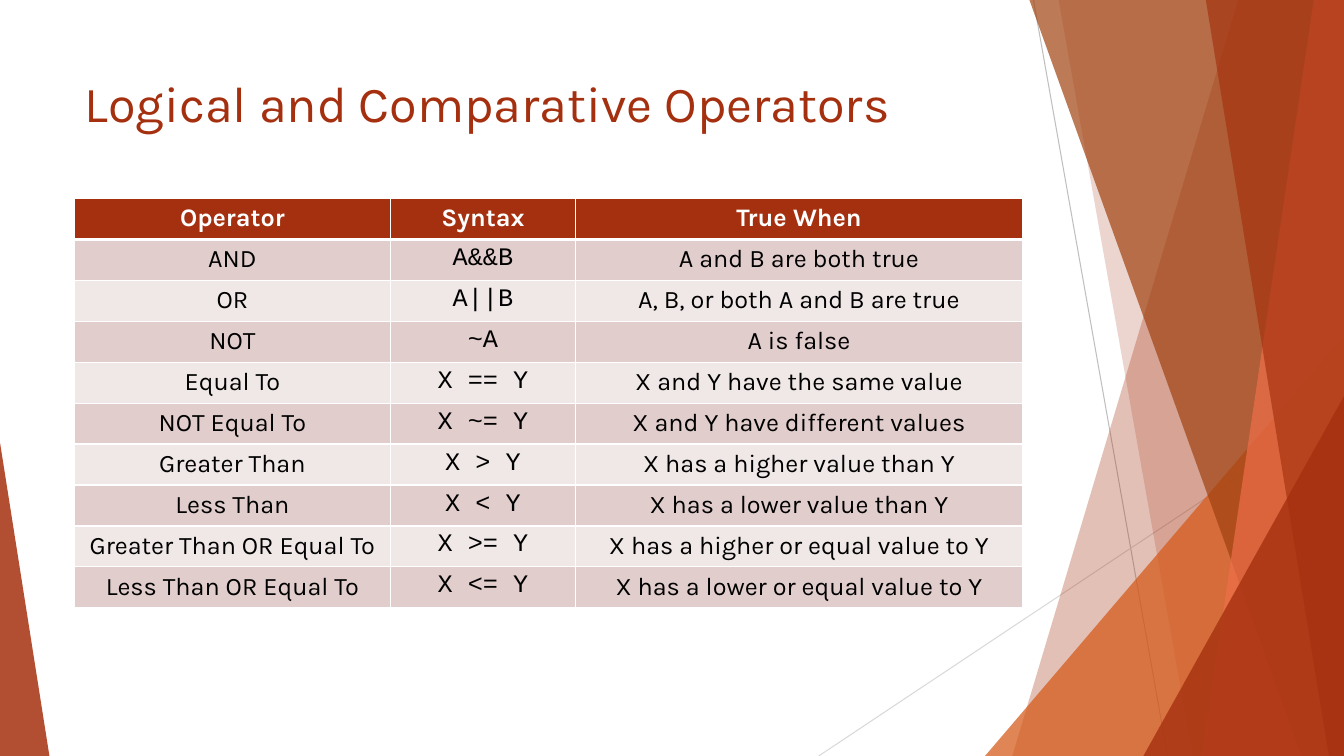
from lxml import etree
from pptx import Presentation
from pptx.dml.color import RGBColor
from pptx.enum.shapes import MSO_CONNECTOR as CONN, MSO_SHAPE as SHAPE
from pptx.enum.text import MSO_ANCHOR as ANCHOR, MSO_AUTO_SIZE as FIT, PP_ALIGN as ALIGN
from pptx.oxml.ns import qn
from pptx.util import Inches, Pt

WIDTH, HEIGHT = 13.33, 7.5
RUST = "A5300F"
BODY, CODE = "Karla", "Courier New"

# Lines: x1, y1, x2, y2, colour
LINES = [(10.25, 0, 11.58, 7.5, "BFBFBF"), (13.33, 4.03, 8.12, 7.5, "D9D9D9")]

# Bands run to the right edge: x at top, x at bottom, colour, opacity
# Triangles: left, top, width, height, apex position, colour, opacity
BACK_BANDS = [(12.28, 10.04, RUST, 30), (10.5, 11.83, RUST, 20)]
ORANGE_TRIANGLE = (9.77, 3.33, 3.56, 4.17, 1, "D55816", 72)
FRONT_BANDS = [(10.21, 12.91, "A04210", 70), (13.03, 11.92, "EE6E4A", 70),
               (11.96, 13.18, RUST, 65)]
RUST_TRIANGLES = [(11.34, 3.93, 1.99, 3.57, 1, RUST, 80),
                  (0, 4.39, 0.49, 3.11, 0, RUST, 85)]

COLUMNS = [3.13, 1.84, 4.43]
ROWS = [
    ("Operator", "Syntax", "True When"),
    ("AND", "A&&B", "A and B are both true"),
    ("OR", "A||B", "A, B, or both A and B are true"),
    ("NOT", "~A", "A is false"),
    ("Equal To", "X == Y", "X and Y have the same value"),
    ("NOT Equal To", "X ~= Y", "X and Y have different values"),
    ("Greater Than", "X > Y", "X has a higher value than Y"),
    ("Less Than", "X < Y", "X has a lower value than Y"),
    ("Greater Than OR Equal To", "X >= Y", "X has a higher or equal value to Y"),
    ("Less Than OR Equal To", "X <= Y", "X has a lower or equal value to Y"),
]


def rgb(color):
    return RGBColor.from_string(color)


def format_font(font, color, **values):
    font.color.rgb = rgb(color)
    for name, value in values.items():
        setattr(font, name, value)


def paint(sp, color, opacity):
    sp.shadow.inherit = False
    sp.line.fill.background()
    sp.fill.solid()
    sp.fill.fore_color.rgb = rgb(color)
    clr = sp.fill._xPr.find(".//" + qn("a:srgbClr"))
    etree.SubElement(clr, qn("a:alpha"), val=str(opacity * 1000))


def add_line(s, x1, y1, x2, y2, color):
    line = s.shapes.add_connector(CONN.STRAIGHT, *map(Inches, (x1, y1, x2, y2)))
    line.line.color.rgb = rgb(color)
    line.line.width = Pt(0.75)
    etree.SubElement(line._element.spPr, qn("a:effectLst"))


def add_band(s, box, top_x, bottom_x, color, opacity):
    x, y, w, h = box
    right, bottom = x + w, y + h
    outline = s.shapes.build_freeform(Inches(x + top_x), Inches(y))
    corners = [(right, y), (right, bottom), (x + bottom_x, bottom)]
    outline.add_line_segments([(Inches(px), Inches(py)) for px, py in corners])
    paint(outline.convert_to_shape(), color, opacity)


def add_triangle(s, box, left, top, w, h, apex, color, opacity):
    sp = s.shapes.add_shape(SHAPE.ISOSCELES_TRIANGLE, Inches(box[0] + left),
                            Inches(box[1] + top), Inches(w), Inches(h))
    sp.adjustments[0] = apex
    paint(sp, color, opacity)


def add_facets(s, box):
    x, y = box[:2]
    for x1, y1, x2, y2, color in LINES:
        add_line(s, x + x1, y + y1, x + x2, y + y2, color)
    for band in BACK_BANDS:
        add_band(s, box, *band)
    add_triangle(s, box, *ORANGE_TRIANGLE)
    for band in FRONT_BANDS:
        add_band(s, box, *band)
    for triangle in RUST_TRIANGLES:
        add_triangle(s, box, *triangle)


def add_title(s, box, text):
    title = s.shapes.title
    title.left, title.top, title.width, title.height = map(Inches, box)
    s.shapes.element.append(title.element)  # in front of the facets
    tf = title.text_frame
    tf.text = text
    tf.auto_size = FIT.NONE
    tf.vertical_anchor = ANCHOR.TOP
    p = tf.paragraphs[0]
    p.alignment = ALIGN.LEFT
    format_font(p.runs[0].font, RUST, name=BODY, size=Pt(36))


def add_borders(cell, top, bottom):
    tcPr = cell._tc.get_or_add_tcPr()
    for side, width in (("L", 1), ("R", 1), ("T", top), ("B", bottom)):
        ln = etree.SubElement(tcPr, qn("a:ln" + side), w=str(Pt(width)))
        fill = etree.SubElement(ln, qn("a:solidFill"))
        etree.SubElement(fill, qn("a:srgbClr"), val="FFFFFF")


def add_operator_table(s, box):
    frame = s.shapes.add_table(len(ROWS), len(COLUMNS), *map(Inches, box))
    table = frame.table
    for column, width in zip(table.columns, COLUMNS):
        column.width = Inches(width)
    for i, row in enumerate(ROWS):
        table.rows[i].height = Inches(box[3] / len(ROWS))
        header = i == 0
        shade = RUST if header else "E1CDCC" if i % 2 else "F0E8E7"
        for j, text in enumerate(row):
            cell = table.cell(i, j)
            # Thick rule under the header row
            add_borders(cell, top=3 if i == 1 else 1, bottom=3 if header else 1)
            cell.fill.solid()
            cell.fill.fore_color.rgb = rgb(shade)
            cell.text = text
            p = cell.text_frame.paragraphs[0]
            p.alignment = ALIGN.CENTER
            format_font(p.runs[0].font, "FFFFFF" if header else "000000",
                        name=CODE if j == 1 and not header else BODY,
                        size=Pt(18), bold=header)


def main():
    prs = Presentation()
    prs.slide_width, prs.slide_height = Inches(WIDTH), Inches(HEIGHT)
    s = prs.slides.add_slide(prs.slide_layouts[5])
    add_facets(s, (0, 0, WIDTH, HEIGHT))
    add_title(s, (0.74, 0.67, 10.5, 1.44), "Logical and Comparative Operators")
    add_operator_table(s, (0.74, 1.97, sum(COLUMNS), 4.06))
    prs.save("out.pptx")


if __name__ == "__main__":
    main()
